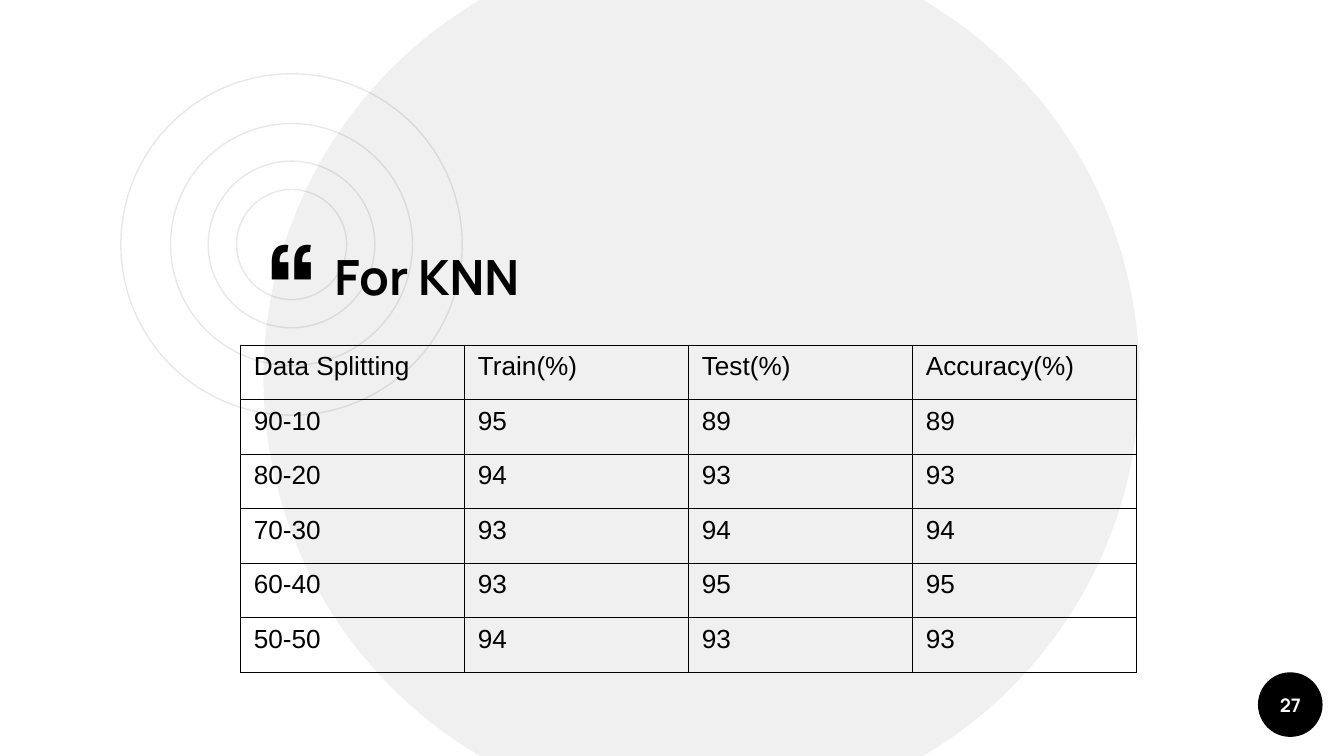
from dataclasses import dataclass

from lxml.etree import SubElement
from pptx import Presentation
from pptx.dml.color import RGBColor
from pptx.enum.shapes import MSO_SHAPE as Preset
from pptx.enum.text import MSO_ANCHOR as Anchor, PP_ALIGN as Align
from pptx.oxml.ns import qn
from pptx.util import Pt

BLACK = RGBColor(0, 0, 0)
WHITE = RGBColor(255, 255, 255)
RING_GREY = RGBColor(0xE8, 0xE8, 0xE8)
HEADING_FONT, TABLE_FONT = "Manrope", "Arial"
LINE_WIDTH = 0.75


@dataclass(frozen=True)
class Circle:
    center_x: float
    center_y: float
    diameter: float
    fill: RGBColor | None = None
    line: RGBColor | None = None
    opacity: int = 100


@dataclass(frozen=True)
class Label:
    text: str
    left: float
    top: float
    width: float
    height: float
    size: float
    color: RGBColor = BLACK
    align: Align = Align.LEFT
    anchor: Anchor = Anchor.TOP
    space_before: float = 0


def draw_circle(page, circle: Circle) -> None:
    radius = circle.diameter / 2
    shape = page.shapes.add_shape(
        Preset.OVAL, Pt(circle.center_x - radius), Pt(circle.center_y - radius),
        Pt(circle.diameter), Pt(circle.diameter))
    shape.shadow.inherit = False
    if circle.fill is None:
        shape.fill.background()
    else:
        shape.fill.solid()
        shape.fill.fore_color.rgb = circle.fill
        if circle.opacity < 100:
            color = shape.fill._xPr.find(".//" + qn("a:srgbClr"))
            SubElement(color, qn("a:alpha"), val=str(circle.opacity * 1000))
    if circle.line is None:
        shape.line.fill.background()
    else:
        shape.line.color.rgb = circle.line
        shape.line.width = Pt(LINE_WIDTH)


def add_span(para, text: str, font: str, size: float, color: RGBColor, bold: bool) -> None:
    span = para.add_run()
    span.text = text
    span.font.name = font
    span.font.size = Pt(size)
    span.font.bold = bold
    span.font.color.rgb = color


def draw_label(page, label: Label) -> None:
    box = page.shapes.add_textbox(
        Pt(label.left), Pt(label.top), Pt(label.width), Pt(label.height))
    frame = box.text_frame
    frame.word_wrap = True
    frame.vertical_anchor = label.anchor
    frame.margin_left = frame.margin_right = Pt(7.2)
    frame.margin_top = frame.margin_bottom = Pt(7.2)
    para = frame.paragraphs[0]
    para.alignment = label.align
    para.space_before = Pt(label.space_before)
    add_span(para, label.text, HEADING_FONT, label.size, label.color, True)


def outline_cell(cell) -> None:
    properties = cell._tc.get_or_add_tcPr()
    for side in ("lnL", "lnR", "lnT", "lnB"):
        line = SubElement(properties, qn(f"a:{side}"), w=str(Pt(LINE_WIDTH)))
        fill = SubElement(line, qn("a:solidFill"))
        SubElement(fill, qn("a:srgbClr"), val=str(BLACK))


def draw_table(page, rows: list[tuple[str, ...]], left: float, top: float,
               column_width: float, row_height: float) -> None:
    columns = len(rows[0])
    table = page.shapes.add_table(
        len(rows), columns, Pt(left), Pt(top),
        Pt(column_width * columns), Pt(row_height * len(rows))).table
    table.first_row = table.horz_banding = False
    for column in table.columns:
        column.width = Pt(column_width)
    for row, values in zip(table.rows, rows):
        row.height = Pt(row_height)
        for cell, value in zip(row.cells, values):
            outline_cell(cell)
            cell.fill.background()
            add_span(cell.text_frame.paragraphs[0], value, TABLE_FONT, 14, BLACK, False)


RINGS = [Circle(156.2, 131, diameter, line=RING_GREY)
         for diameter in (182.9, 129.6, 89.3, 59)]
BACKDROP = Circle(375.8, 202.5, 469.4, fill=BLACK, opacity=6)
PAGE_BADGE = Circle(691.2, 377.5, 34.6, fill=BLACK)

LABELS = [
    Label("“", 126, 104.4, 60.5, 51.1, 72, align=Align.CENTER),
    Label("For KNN", 172.1, 125.3, 375.8, 257, 26, space_before=6),
    Label("27", 673.9, 360.2, 34.6, 34.6, 10, WHITE, Align.CENTER, Anchor.MIDDLE),
]

RESULTS = [
    ("Data Splitting", "Train(%)", "Test(%)", "Accuracy(%)"),
    ("90-10", "95", "89", "89"),
    ("80-20", "94", "93", "93"),
    ("70-30", "93", "94", "94"),
    ("60-40", "93", "95", "95"),
    ("50-50", "94", "93", "93"),
]


def main() -> None:
    deck = Presentation()
    deck.slide_width, deck.slide_height = Pt(720), Pt(405)
    page = deck.slides.add_slide(deck.slide_layouts[6])

    # Background circles and page badge
    for circle in (*RINGS, BACKDROP, PAGE_BADGE):
        draw_circle(page, circle)

    # Quote mark, heading and page number
    for label in LABELS:
        draw_label(page, label)

    # Accuracy for each data split
    draw_table(page, RESULTS, 128.8, 185, column_width=120, row_height=29.2)

    deck.save("out.pptx")


if __name__ == "__main__":
    main()
